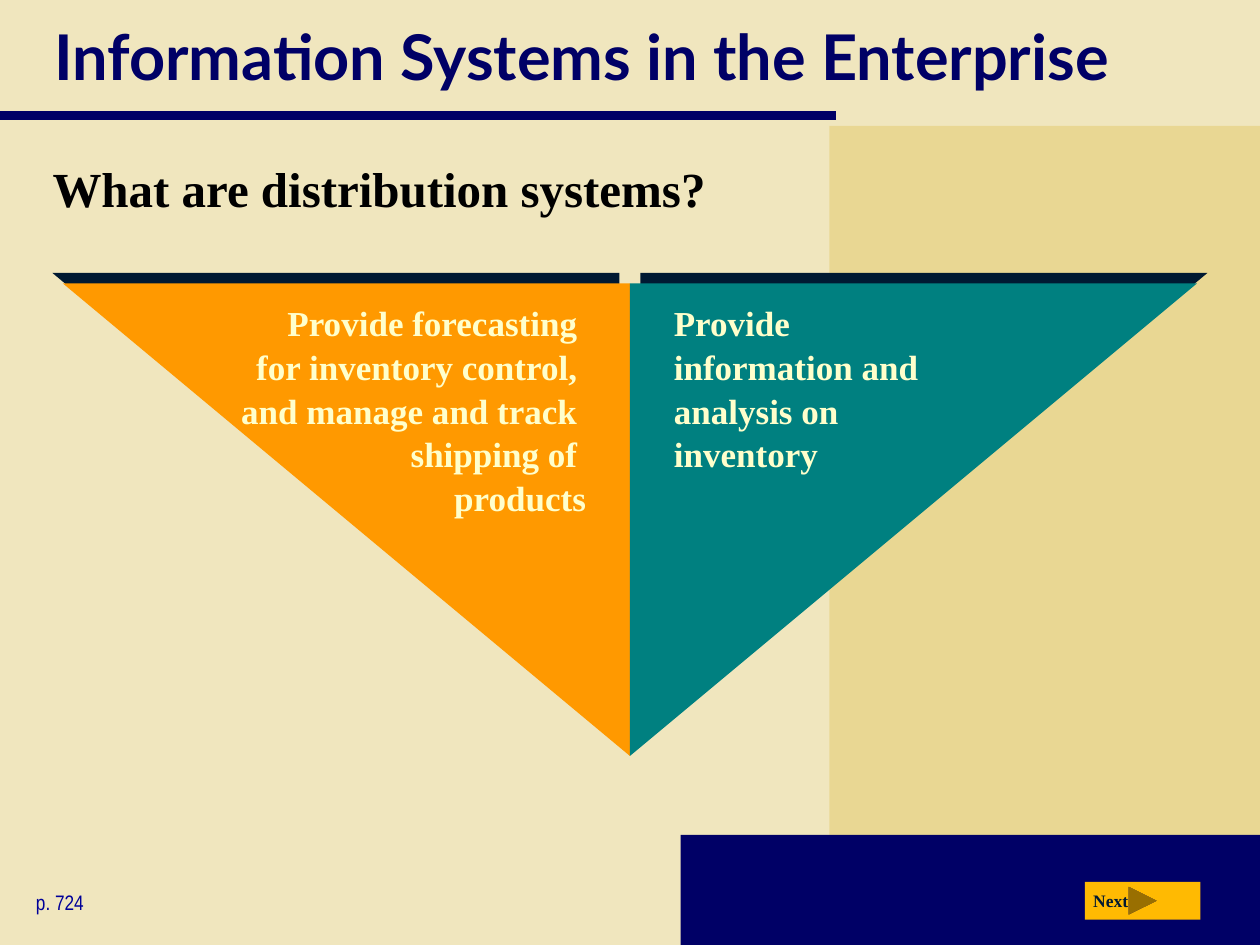
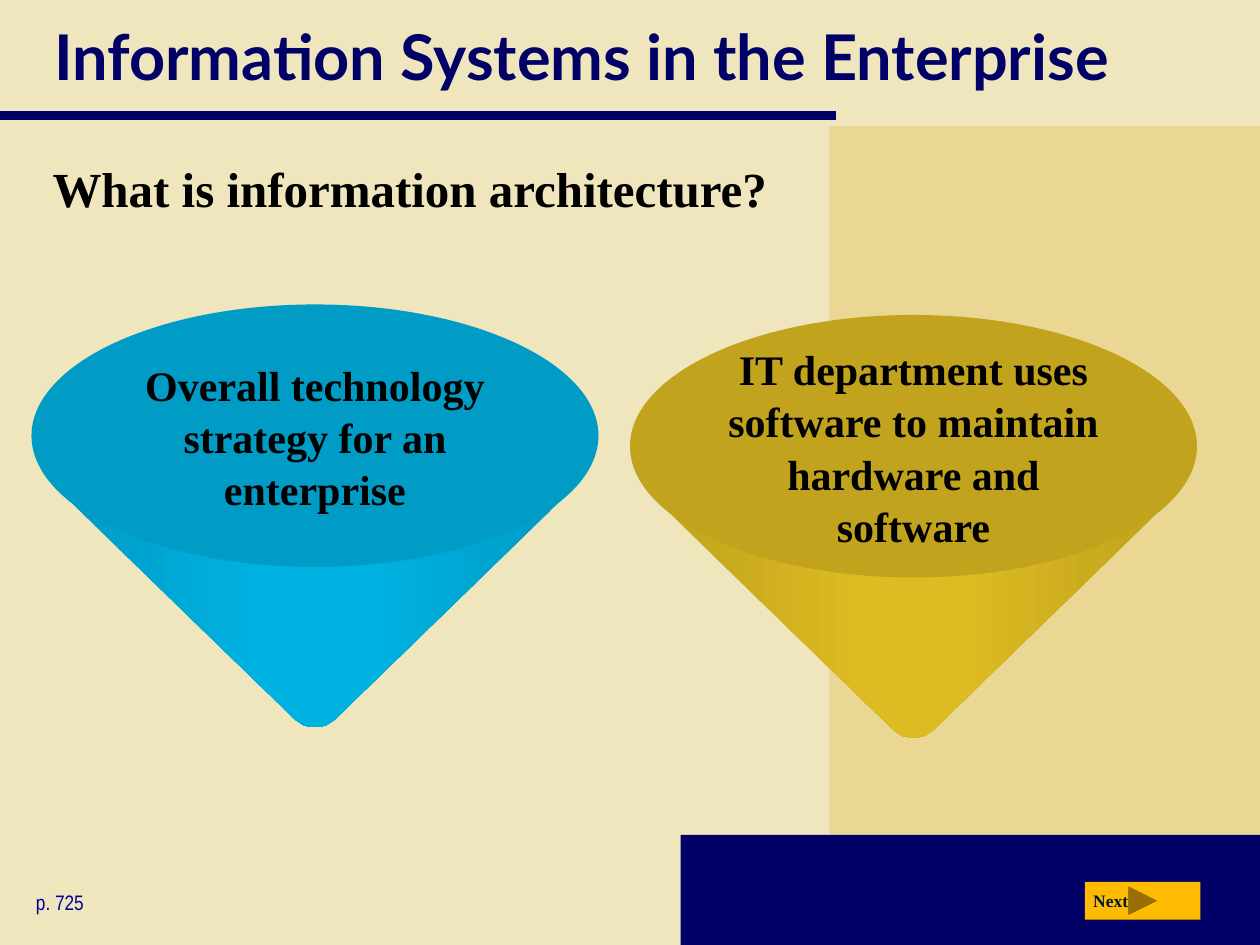
from copy import deepcopy

from lxml import etree
from pptx import Presentation
from pptx.dml.color import RGBColor
from pptx.enum.shapes import MSO_CONNECTOR, MSO_SHAPE
from pptx.enum.text import MSO_ANCHOR, PP_ALIGN
from pptx.oxml.ns import qn
from pptx.util import Pt

COLORS = {
    "cream": "F0E6BE", "sand": "E9D793", "navy": "000066", "page": "000099",
    "black": "000000", "ink": "001932", "pale": "FFFFCC", "button": "FFBA02",
    "orange": "FF9900", "teal": "008080",
    "blue top": "009CC5", "blue side": "00B2E2", "blue edge": "009CC5",
    "gold top": "C1A31D", "gold side": "DDBB22", "gold edge": "C1A31D",
}
SERIF = "Times New Roman"
LEADING = 1.04


def rgb(name):
    return RGBColor.from_string(COLORS[name])


def paint(shape, fill):
    shape.shadow.inherit = False
    shape.fill.solid()
    shape.fill.fore_color.rgb = rgb(fill)
    shape.line.fill.background()
    return shape


def add_form(slide, kind, box, fill):
    return paint(slide.shapes.add_shape(kind, *map(Pt, box)), fill)


def write(frame, text, size, color, font=SERIF, bold=True,
          align=PP_ALIGN.LEFT, anchor=MSO_ANCHOR.TOP, leading=LEADING):
    frame.word_wrap = True
    frame.vertical_anchor = anchor
    frame.text = text
    para = frame.paragraphs[0]
    para.alignment = align
    para.line_spacing = leading
    para.font.name = font
    para.font.size = Pt(size)
    para.font.bold = bold
    para.font.color.rgb = rgb(color)


def add_label(slide, box, text, size, color, **style):
    frame = slide.shapes.add_textbox(*map(Pt, box)).text_frame
    write(frame, text, size, color, **style)


def add_rule(slide, start, end, width):
    rule = slide.shapes.add_connector(
        MSO_CONNECTOR.STRAIGHT, *map(Pt, (*start, *end)))
    rule.line.color.rgb = rgb("navy")
    rule.line.width = Pt(width)
    etree.SubElement(rule._element.spPr, qn("a:effectLst"))


def add_base(deck, question, page):
    """Add a slide with the shared panels, title, question and footer."""
    slide = deck.slides.add_slide(deck.slide_layouts[6])
    slide.background.fill.solid()
    slide.background.fill.fore_color.rgb = rgb("cream")
    add_form(slide, MSO_SHAPE.RECTANGLE, (474, 72, 246, 468), "sand")
    add_form(slide, MSO_SHAPE.RECTANGLE, (389, 477, 331, 63), "navy")
    add_rule(slide, (0, 66), (478, 66), 5)
    add_label(slide, (24, 0, 676, 63), "Information Systems in the Enterprise",
              36, "navy", font="Lato", anchor=MSO_ANCHOR.MIDDLE, leading=1)
    add_label(slide, (23, 86, 676, 50), question, 28, "black")
    add_label(slide, (13.5, 504, 122, 22), page, 12, "page",
              font="Arial Narrow", bold=False)
    add_form(slide, MSO_SHAPE.ACTION_BUTTON_FORWARD_OR_NEXT,
             (620, 504, 66, 21.5), "button")
    add_label(slide, (617.6, 504.5, 37, 19.5), "Next", 10, "ink")
    return slide


def add_shade(shape, angle):
    """Cast a hard dark shadow from the shape at an angle in degrees."""
    effects = shape._element.spPr.find(qn("a:effectLst"))
    cast = etree.SubElement(
        effects, qn("a:outerShdw"), dist=str(Pt(8.5)),
        dir=str(angle * 60000), algn="ctr", rotWithShape="0")
    etree.SubElement(cast, qn("a:srgbClr"), val=COLORS["ink"])


def add_wing(slide, left, fill, angle, mirror=False):
    wing = add_form(slide, MSO_SHAPE.RIGHT_TRIANGLE,
                    (left, 162, 324, 270), fill)
    frame = wing._element.spPr.find(qn("a:xfrm"))
    frame.set("flipV", "1")
    if mirror:
        frame.set("flipH", "1")
    add_shade(wing, angle)


def fade(shape, edge, side):
    """Fill from edge to side and back to edge, left to right."""
    shape.fill.gradient()
    shape.fill.gradient_angle = 0
    stops = shape.fill._fill._gradFill.find(qn("a:gsLst"))
    model = stops[0]
    for stop in list(stops):
        stops.remove(stop)
    for place, name in ((0, edge), (40, side), (60, side), (100, edge)):
        stop = deepcopy(model)
        stop.set("pos", str(place * 1000))
        for child in list(stop):
            stop.remove(child)
        etree.SubElement(stop, qn("a:srgbClr"), val=COLORS[name])
        stops.append(stop)


def add_cone(slide, left, top, hue, text):
    wide, high = 324, 150
    half = [(19.5, 110), (151, 237.5), (155.5, 240.5), (160, 241.5)]
    points = half + [(wide - x, y) for x, y in reversed(half)]
    path = [(Pt(left + x), Pt(top + y)) for x, y in points]
    pen = slide.shapes.build_freeform(*path[0], scale=1)
    pen.add_line_segments(path[1:], close=True)
    side = paint(pen.convert_to_shape(), hue + " side")
    fade(side, hue + " edge", hue + " side")
    lid = add_form(slide, MSO_SHAPE.OVAL, (left, top, wide, high),
                   hue + " top")
    write(lid.text_frame, text, 24, "black",
          align=PP_ALIGN.CENTER, anchor=MSO_ANCHOR.MIDDLE)


def main():
    deck = Presentation()
    deck.slide_width, deck.slide_height = Pt(720), Pt(540)

    slide = add_base(deck, "What are distribution systems?", "p. 724")
    add_wing(slide, 36, "orange", 225, mirror=True)
    add_label(slide, (96, 168, 246, 127),
              "Provide forecasting \vfor inventory control, \v"
              "and manage and track \vshipping of \vproducts",
              20, "pale", align=PP_ALIGN.RIGHT)
    add_wing(slide, 360, "teal", 315)
    add_label(slide, (378, 168, 180, 103),
              "Provide information and analysis on inventory", 20, "pale")

    slide = add_base(deck, "What is information architecture?", "p. 725")
    add_cone(slide, 18, 174, "blue",
             "Overall technology strategy for an enterprise")
    add_cone(slide, 360, 180, "gold",
             "IT department uses software to maintain hardware and software")

    deck.save("out.pptx")


if __name__ == "__main__":
    main()
